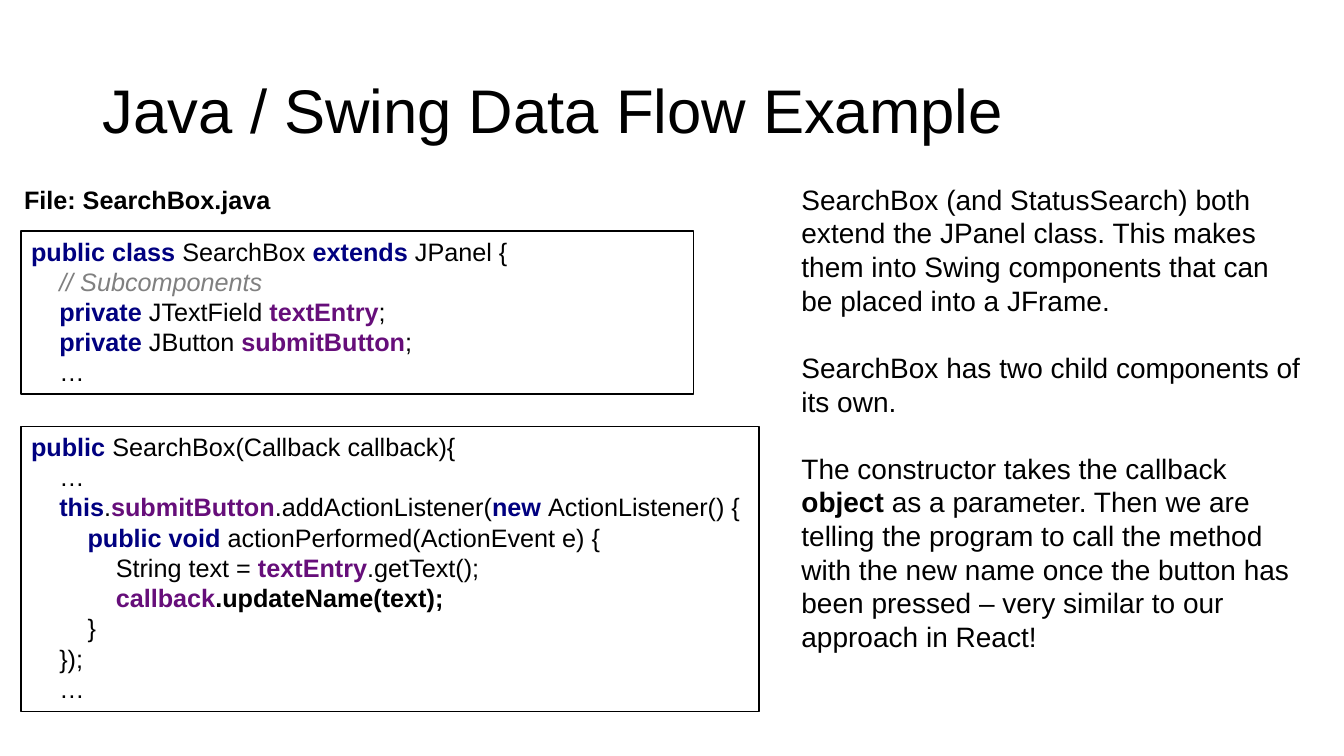
from pptx import Presentation
from pptx.dml.color import RGBColor
from pptx.enum.shapes import MSO_SHAPE as Shape
from pptx.enum.text import MSO_ANCHOR as Anchor, PP_ALIGN as Align
from pptx.util import Inches, Pt

FONT = "Arial"
COLORS = {"text": "000000", "keyword": "000080", "field": "660E7A",
          "comment": "808080", "strong": "000000", "paper": "FFFFFF"}
BOLD = {"keyword", "field", "strong"}
INDENT = 0.28

CLASS_CODE = [
    (0, [("public class ", "keyword"), ("SearchBox ", "text"),
         ("extends ", "keyword"), ("JPanel {", "text")]),
    (1, [("// Subcomponents", "comment")]),
    (1, [("private ", "keyword"), ("JTextField ", "text"),
         ("textEntry", "field"), (";", "text")]),
    (1, [("private ", "keyword"), ("JButton ", "text"),
         ("submitButton", "field"), (";", "text")]),
    (1, [("…", "text")]),
]
CONSTRUCTOR_CODE = [
    (0, [("public ", "keyword"), ("SearchBox(Callback callback){", "text")]),
    (1, [("…", "text")]),
    (1, [("this", "keyword"), (".", "text"), ("submitButton", "field"),
         (".addActionListener(", "text"), ("new ", "keyword"),
         ("ActionListener() {", "text")]),
    (2, [("public void ", "keyword"),
         ("actionPerformed(ActionEvent e) {", "text")]),
    (3, [("String text = ", "text"), ("textEntry", "field"),
         (".getText();", "text")]),
    (3, [("callback", "field"), (".updateName(text);", "strong")]),
    (2, [("}", "text")]),
    (1, [("});", "text")]),
    (1, [("…", "text")]),
]
NOTES = [
    (0, [("SearchBox (and StatusSearch) both extend the JPanel class. This makes "
          "them into Swing components that can be placed into a JFrame.", "text")]),
    (0, [("SearchBox has two child components of its own.", "text")]),
    (0, [("The constructor takes the callback ", "text"), ("object", "strong"),
         (" as a parameter. Then we are telling the program to call the method "
          "with the new name once the button has been pressed – very similar to "
          "our approach in React!", "text")]),
]


def rgb(name):
    return RGBColor.from_string(COLORS[name])


def format_run(r, size, style="text"):
    r.font.name = FONT
    r.font.size = Pt(size)
    r.font.bold = style in BOLD
    r.font.italic = style == "comment"
    r.font.color.rgb = rgb(style)


def write_lines(tf, lines, size, gap=0):
    tf.word_wrap = True
    tf.vertical_anchor = Anchor.TOP
    for i, (level, parts) in enumerate(lines):
        p = tf.add_paragraph() if i else tf.paragraphs[0]
        p.alignment = Align.LEFT
        p.space_before = Pt(gap if i else 0)
        p._p.get_or_add_pPr().set("marL", str(Inches(level * INDENT)))
        for text, style in parts:
            r = p.add_run()
            r.text = text
            format_run(r, size, style)


def add_title(s, box, text):
    sp = s.shapes.title
    sp.left, sp.top, sp.width, sp.height = map(Inches, box)
    tf = sp.text_frame
    tf.text = text
    tf.word_wrap = True
    tf.vertical_anchor = Anchor.MIDDLE
    p = tf.paragraphs[0]
    p.alignment = Align.LEFT
    p.line_spacing = 0.9
    format_run(p.runs[0], 44)


def add_code(s, box, lines):
    sp = s.shapes.add_shape(Shape.RECTANGLE, *map(Inches, box))
    sp.shadow.inherit = False
    sp.fill.solid()
    sp.fill.fore_color.rgb = rgb("paper")
    sp.line.color.rgb = rgb("text")
    sp.line.width = Pt(1)
    write_lines(sp.text_frame, lines, 18)


def add_text(s, box, lines, size, gap=0):
    sp = s.shapes.add_textbox(*map(Inches, box))
    write_lines(sp.text_frame, lines, size, gap)


def add_code_slide(prs):
    s = prs.slides.add_slide(prs.slide_layouts[5])
    add_title(s, (0.92, 0.4, 11.5, 1.45), "Java / Swing Data Flow Example")
    add_text(s, (0.14, 1.78, 2.67, 0.4),
             [(0, [("File: SearchBox.java", "strong")])], 18)
    add_code(s, (0.21, 2.29, 6.67, 1.62), CLASS_CODE)
    add_code(s, (0.21, 4.23, 7.32, 2.83), CONSTRUCTOR_CODE)
    add_text(s, (7.85, 1.76, 5.15, 5.3), NOTES, 20, 24)


def main():
    prs = Presentation()
    prs.slide_width, prs.slide_height = Inches(13.33), Inches(7.5)
    add_code_slide(prs)
    prs.save("out.pptx")


if __name__ == "__main__":
    main()
